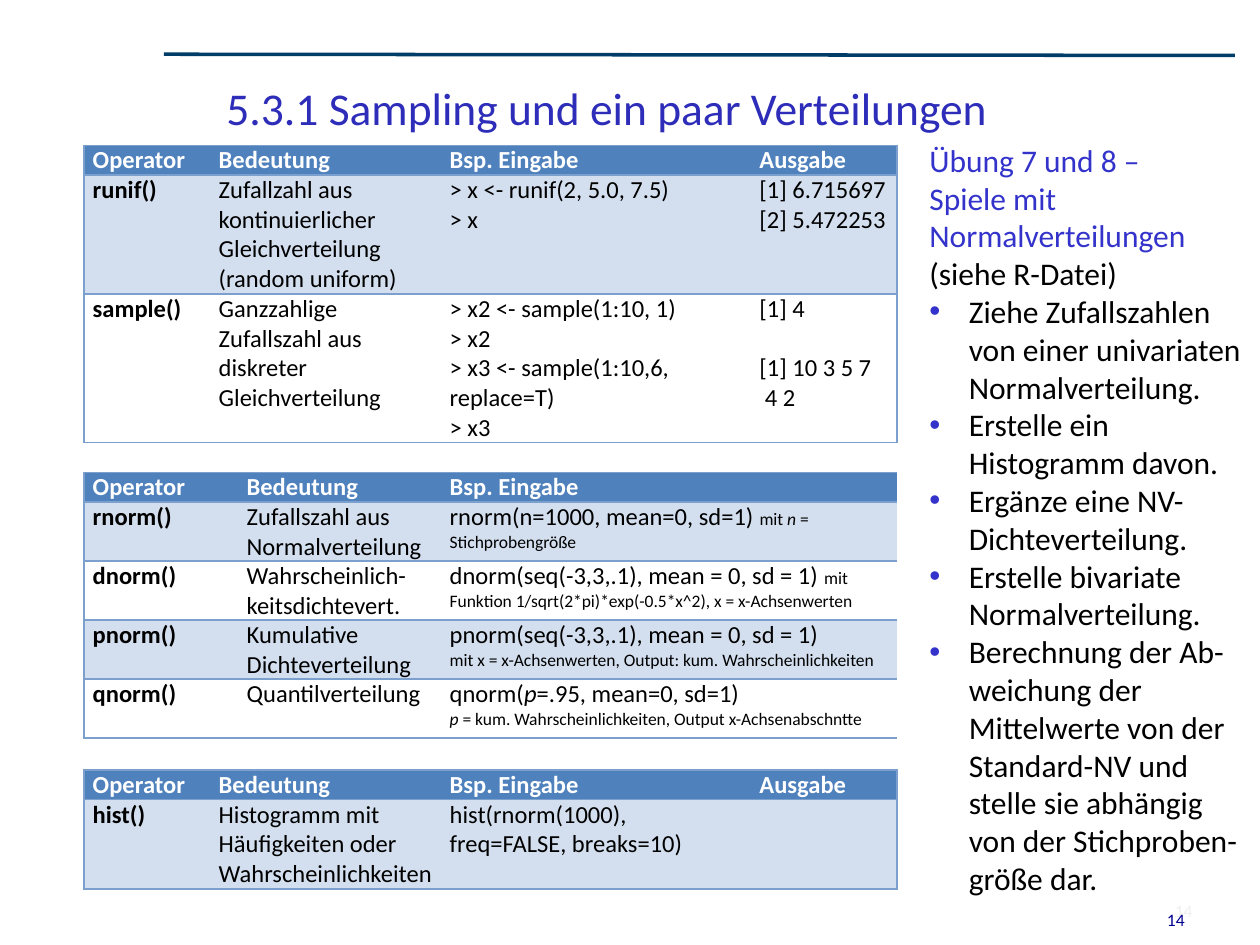
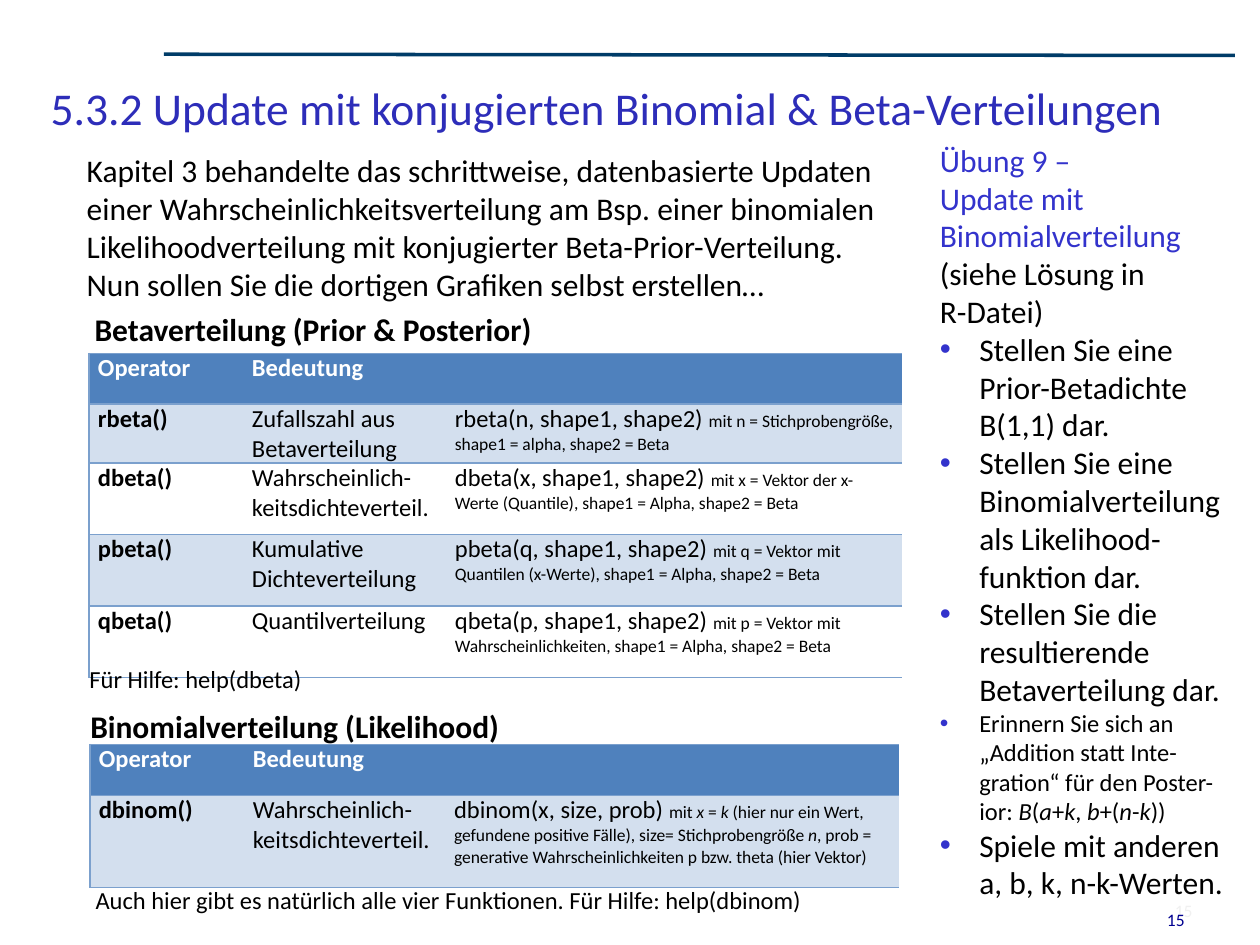
from dataclasses import dataclass

from lxml import etree
from pptx import Presentation
from pptx.dml.color import RGBColor
from pptx.enum import shapes, text
from pptx.oxml import ns
from pptx.util import Pt

# Shared look
TITLE_BLUE = RGBColor(0x2D, 0x2D, 0xB9)
ACCENT_BLUE = RGBColor(0x33, 0x33, 0xCC)
RULE_BLUE = RGBColor(0x00, 0x3C, 0x68)
NUMBER_BLUE = RGBColor(0x00, 0x00, 0x90)
HEADER_FILL = RGBColor(0x4F, 0x81, 0xBD)
BAND_FILL = RGBColor(0xD3, 0xDF, 0xEE)
BORDER = RGBColor(0x7B, 0xA0, 0xCD)
BLACK = RGBColor(0, 0, 0)
WHITE = RGBColor(0xFF, 0xFF, 0xFF)
FONT = "Calibri"
BODY, SMALL, NOTE = 18, 14, 10
LINE = 17  # height of one table line
PLAIN_TABLE = "{2D5ABB26-0587-4C30-8999-92F81FD0307C}"
FOUR_COLUMNS = (72, 132, 177, 83.5)
THREE_COLUMNS = (88, 116, 260.5)


@dataclass(frozen=True)
class Box:
    left: float
    top: float
    width: float
    height: float

    def lengths(self) -> tuple:
        return Pt(self.left), Pt(self.top), Pt(self.width), Pt(self.height)


@dataclass(frozen=True)
class OperatorTable:
    left: float
    top: float
    widths: tuple
    heights: tuple
    rows: tuple
    closed: bool = False  # border on the right side
    right_inset: float = 5


@dataclass(frozen=True)
class Exercise:
    box: Box
    heading: str
    reference: str
    tasks: tuple  # (text, size)


@dataclass(frozen=True)
class Label:
    box: Box
    content: str
    size: float = BODY
    bold: bool = False


@dataclass(frozen=True)
class Page:
    number: int
    title: str
    tables: tuple
    exercise: Exercise
    labels: tuple = ()


def write(para, content: str, *, size=BODY, color=BLACK, bold=False) -> None:
    """Add text: _x_ is italic, ~ starts a small note, \\v breaks the line."""
    for part, passage in enumerate(content.split("~")):
        for index, piece in enumerate(passage.split("_")):
            for row, line in enumerate(piece.split("\v")):
                if row:
                    para.add_line_break()
                if not line:
                    continue
                span = para.add_run()
                span.text = line
                span.font.name = FONT
                span.font.size = Pt(NOTE if part else size)
                span.font.bold = bold
                span.font.italic = index % 2 == 1
                span.font.color.rgb = color


def add_text(slide, box: Box, content: str, *, align=text.PP_ALIGN.LEFT,
             anchor=text.MSO_ANCHOR.TOP, wrap=True, **style):
    frame = slide.shapes.add_textbox(*box.lengths()).text_frame
    frame.word_wrap = wrap
    frame.vertical_anchor = anchor
    if not wrap:
        frame.auto_size = text.MSO_AUTO_SIZE.SHAPE_TO_FIT_TEXT
    para = frame.paragraphs[0]
    para.alignment = align
    write(para, content, **style)
    return frame


def add_bullet(para) -> None:
    properties = para._p.get_or_add_pPr()
    properties.set("marL", str(Pt(22.5)))
    properties.set("indent", str(-Pt(22.5)))
    color = etree.SubElement(properties, ns.qn("a:buClr"))
    etree.SubElement(color, ns.qn("a:srgbClr"), val=str(ACCENT_BLUE))
    etree.SubElement(properties, ns.qn("a:buFont"), typeface="Arial")
    etree.SubElement(properties, ns.qn("a:buChar"), char="•")


def add_frame(slide, page: Page) -> None:
    # Rule at the top
    rule = slide.shapes.add_connector(
        shapes.MSO_CONNECTOR.STRAIGHT, Pt(93.6), Pt(31), Pt(705.6), Pt(31.7))
    rule.line.color.rgb = RULE_BLUE
    rule.line.width = Pt(2)
    etree.SubElement(rule.element.spPr, ns.qn("a:effectLst"))
    # Faded number under a translucent panel
    right = text.PP_ALIGN.RIGHT
    add_text(slide, Box(610.5, 510.5, 78, 18), str(page.number),
             size=NOTE, align=right)
    veil = slide.shapes.add_shape(
        shapes.MSO_SHAPE.RECTANGLE, *Box(468, 298, 249, 238).lengths())
    veil.shadow.inherit = False
    veil.fill.solid()
    veil.fill.fore_color.rgb = WHITE
    veil.line.fill.background()
    for color in veil.element.spPr.iter(ns.qn("a:srgbClr")):
        etree.SubElement(color, ns.qn("a:alpha"), val="94000")
    # Title and page number
    add_text(slide, Box(0, 39.6, 694, 43), page.title, size=26,
             color=TITLE_BLUE, align=text.PP_ALIGN.CENTER,
             anchor=text.MSO_ANCHOR.MIDDLE)
    add_text(slide, Box(626.5, 516.2, 57.5, 19), str(page.number),
             size=NOTE, color=NUMBER_BLUE, align=right)


def set_borders(cell, sides: str) -> None:
    properties = cell._tc.get_or_add_tcPr()
    for side in sides:
        line = etree.SubElement(properties, ns.qn(f"a:ln{side}"), w=str(Pt(1)))
        fill = etree.SubElement(line, ns.qn("a:solidFill"))
        etree.SubElement(fill, ns.qn("a:srgbClr"), val=str(BORDER))


def fill_cell(cell, content: str, right_inset: float, **style) -> None:
    cell.margin_left, cell.margin_right = Pt(5), Pt(right_inset)
    cell.margin_top = cell.margin_bottom = 0
    para, gap = None, 0
    for block in content.split("\n"):
        if not block:  # an empty line becomes space before the next paragraph
            gap += LINE
            continue
        frame = cell.text_frame
        para = frame.add_paragraph() if para else frame.paragraphs[0]
        if para is not frame.paragraphs[0] and gap:
            para.space_before = Pt(gap)
        write(para, block, size=SMALL, **style)
        gap = 0


def add_operator_table(slide, item: OperatorTable) -> None:
    box = Box(item.left, item.top, sum(item.widths), sum(item.heights))
    frame = slide.shapes.add_table(
        len(item.rows), len(item.widths), *box.lengths())
    table = frame.table
    table.horz_banding = False
    for style in frame.element.iter(ns.qn("a:tableStyleId")):
        style.text = PLAIN_TABLE
    for column, width in zip(table.columns, item.widths):
        column.width = Pt(width)
    last = len(item.widths) - 1
    for r, (contents, height) in enumerate(zip(item.rows, item.heights)):
        table.rows[r].height = Pt(height)
        for c, content in enumerate(contents):
            cell = table.cell(r, c)
            left = "L" if c == 0 else ""
            right = "R" if c == last and item.closed else ""
            set_borders(cell, left + right + "TB")
            fill_cell(cell, content, item.right_inset,
                      color=BLACK if r else WHITE, bold=r == 0 or c == 0)
            if r and r % 2 == 0:
                cell.fill.background()
            else:
                cell.fill.solid()
                cell.fill.fore_color.rgb = BAND_FILL if r else HEADER_FILL


def add_exercise(slide, item: Exercise) -> None:
    frame = add_text(slide, item.box, item.heading + "\v", color=ACCENT_BLUE)
    write(frame.paragraphs[0], item.reference)
    for task, size in item.tasks:
        para = frame.add_paragraph()
        add_bullet(para)
        write(para, task, size=size)


def add_page(deck, page: Page) -> None:
    slide = deck.slides.add_slide(deck.slide_layouts[6])
    add_frame(slide, page)
    for item in page.tables:
        add_operator_table(slide, item)
    add_exercise(slide, page.exercise)
    for label in page.labels:
        add_text(slide, label.box, label.content, wrap=False,
                 size=label.size, bold=label.bold)


HEADER = ("Operator", "Bedeutung", "Bsp. Eingabe", "Ausgabe")
SHORT_HEADER = ("Operator", "Bedeutung", "")

# Sampling and distributions
SAMPLING = Page(
    14, "5.3.1 Sampling und ein paar Verteilungen",
    tables=(
        OperatorTable(48, 83, FOUR_COLUMNS, (LINE, 4 * LINE, 5 * LINE), (
            HEADER,
            ("runif()", "Zufallzahl aus kontinuierlicher Gleichverteilung\v(random uniform)",
             "> x <- runif(2, 5.0, 7.5)\v> x", "[1] 6.715697\v[2] 5.472253"),
            ("sample()", "Ganzzahlige Zufallszahl aus diskreter Gleichverteilung",
             "> x2 <- sample(1:10, 1)\v> x2\n> x3 <- sample(1:10,6, replace=T)\v> x3",
             "[1] 4\n\n[1] 10 3 5 7\v 4 2"),
        ), closed=True),
        OperatorTable(48, 440, FOUR_COLUMNS, (LINE, 3 * LINE), (
            HEADER,
            ("hist()", "Histogramm mit Häufigkeiten oder\vWahrscheinlichkeiten",
             "hist(rnorm(1000), freq=FALSE, breaks=10)", ""),
        ), closed=True, right_inset=3),
        OperatorTable(48, 270, THREE_COLUMNS, (LINE,) + (33.7,) * 4, (
            HEADER[:3],
            ("rnorm()", "Zufallszahl aus Normalverteilung",
             "rnorm(n=1000, mean=0, sd=1) ~mit _n_ = Stichprobengröße"),
            ("dnorm()", "Wahrscheinlich-keitsdichtevert.",
             "dnorm(seq(-3,3,.1), mean = 0, sd = 1) "
             "~mit Funktion 1/sqrt(2*pi)*exp(-0.5*x^2), x = x-Achsenwerten"),
            ("pnorm()", "Kumulative Dichteverteilung",
             "pnorm(seq(-3,3,.1), mean = 0, sd = 1)\n"
             "~mit x = x-Achsenwerten, Output: kum. Wahrscheinlichkeiten"),
            ("qnorm()", "Quantilverteilung",
             "qnorm(_p_=.95, mean=0, sd=1)\n"
             "~_p_ = kum. Wahrscheinlichkeiten, Output x-Achsenabschntte"),
        )),
    ),
    exercise=Exercise(
        Box(524, 77, 196, 465),
        "Übung 7 und 8 – \vSpiele mit Normalverteilungen", "(siehe R-Datei)", (
            ("Ziehe Zufallszahlen von einer univariaten Normalverteilung.", BODY),
            ("Erstelle ein Histogramm davon.", BODY),
            ("Ergänze eine NV-Dichteverteilung.", BODY),
            ("Erstelle bivariate Normalverteilung.", BODY),
            ("Berechnung der Ab-weichung der Mittelwerte von der Standard-NV und "
             "stelle sie abhängig von der Stichproben- größe dar.", BODY),
        )),
)

# Conjugate update
UPDATE = Page(
    15, "5.3.2 Update mit konjugierten Binomial & Beta-Verteilungen",
    tables=(
        OperatorTable(51, 202, THREE_COLUMNS, (29, 33.7, 40.8, 40.8, 40.8), (
            SHORT_HEADER,
            ("rbeta()", "Zufallszahl aus Betaverteilung",
             "rbeta(n, shape1, shape2) "
             "~mit n = Stichprobengröße, shape1 = alpha, shape2 = Beta"),
            ("dbeta()", "Wahrscheinlich-keitsdichteverteil.",
             "dbeta(x, shape1, shape2) "
             "~mit x = Vektor der x-Werte (Quantile), shape1 = Alpha, shape2 = Beta"),
            ("pbeta()", "Kumulative Dichteverteilung",
             "pbeta(q, shape1, shape2) "
             "~mit q = Vektor mit Quantilen (x-Werte), shape1 = Alpha, shape2 = Beta"),
            ("qbeta()", "Quantilverteilung",
             "qbeta(p, shape1, shape2) "
             "~mit p = Vektor mit Wahrscheinlichkeiten, shape1 = Alpha, shape2 = Beta"),
        )),
        OperatorTable(51.5, 425.5, (88, 115, 259), (29, 52.5), (
            SHORT_HEADER,
            ("dbinom()", "Wahrscheinlich-keitsdichteverteil.",
             "dbinom(x, size, prob) ~mit _x_ = _k_ (hier nur ein Wert, gefundene "
             "positive Fälle), size= Stichprobengröße _n_, prob = generative "
             "Wahrscheinlichkeiten p bzw. theta (hier Vektor)"),
        )),
    ),
    exercise=Exercise(
        Box(530, 77, 178.5, 463),
        "Übung 9 – \vUpdate mit Binomialverteilung", "(siehe Lösung in\vR-Datei)", (
            ("Stellen Sie eine Prior-Betadichte B(1,1) dar.", BODY),
            ("Stellen Sie eine Binomialverteilung als Likelihood-funktion dar.", BODY),
            ("Stellen Sie die resultierende \vBetaverteilung dar.", BODY),
            ("Erinnern Sie sich an „Addition statt Inte-gration“ für den Poster-ior: "
             "_B_(_a_+_k_, _b_+(_n_-_k_))", SMALL),
            ("Spiele mit anderen \va, b, k, n-k-Werten.", BODY),
        )),
    labels=(
        Label(Box(44, 376, 137, 24.5), "Für Hilfe: help(dbeta)", SMALL),
        Label(Box(42.5, 83, 473, 94),
              "Kapitel 3 behandelte das schrittweise, datenbasierte Updaten \v"
              "einer Wahrscheinlichkeitsverteilung am Bsp. einer binomialen\v"
              "Likelihoodverteilung mit konjugierter Beta-Prior-Verteilung.\v"
              "Nun sollen Sie die dortigen Grafiken selbst erstellen…"),
        Label(Box(47, 173.5, 266.5, 29), "Betaverteilung (Prior & Posterior)", bold=True),
        Label(Box(44.5, 400.5, 250, 29), "Binomialverteilung (Likelihood)", bold=True),
        Label(Box(47.5, 502, 422, 24.5),
              "Auch hier gibt es natürlich alle vier Funktionen. Für Hilfe: help(dbinom)",
              SMALL),
    ),
)


def main() -> None:
    deck = Presentation()
    deck.slide_width, deck.slide_height = Pt(720), Pt(540)
    for page in (SAMPLING, UPDATE):
        add_page(deck, page)
    deck.save("out.pptx")


if __name__ == "__main__":
    main()
